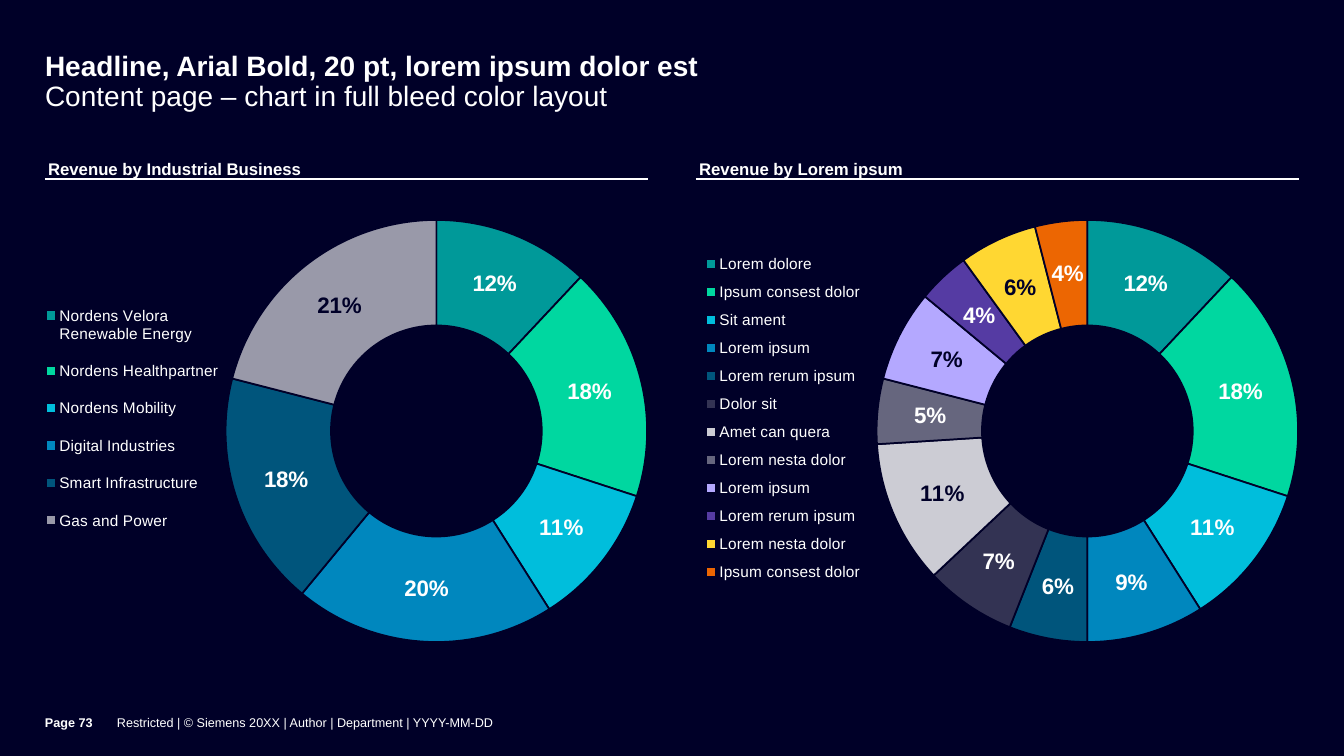
from dataclasses import dataclass

import lxml.etree
import pptx
import pptx.chart.data
import pptx.dml.color
import pptx.enum.chart
import pptx.enum.shapes
import pptx.enum.text
import pptx.oxml
import pptx.oxml.ns
import pptx.util


@dataclass(frozen=True)
class Theme:
    font: str = "Arial"
    dark: str = "000028"
    light: str = "FFFFFF"
    headline: int = 20
    label: int = 16
    heading: int = 12
    legend: int = 11
    base: int = 10
    footer: int = 9


THEME = Theme()
SCALE = 914400 / 100.8

BUSINESS = [
    ("Nordens Velora Renewable Energy", 0.12, "009999"),
    ("Nordens Healthpartner", 0.18, "00D7A0"),
    ("Nordens Mobility", 0.11, "00BEDC"),
    ("Digital Industries", 0.20, "0087BE"),
    ("Smart Infrastructure", 0.18, "00557C"),
    ("Gas and Power", 0.21, "9999A9"),
]
LOREM = [
    ("Lorem dolore", 0.12, "009999"),
    ("Ipsum consest dolor", 0.18, "00D7A0"),
    ("Sit ament", 0.11, "00BEDC"),
    ("Lorem ipsum", 0.09, "0087BE"),
    ("Lorem rerum ipsum", 0.06, "00557C"),
    ("Dolor sit", 0.07, "333353"),
    ("Amet can quera", 0.11, "CCCCD4"),
    ("Lorem nesta dolor", 0.05, "66667E"),
    ("Lorem ipsum", 0.07, "B4A8FF"),
    ("Lorem rerum ipsum", 0.04, "553BA3"),
    ("Lorem nesta dolor", 0.06, "FFD732"),
    ("Ipsum consest dolor", 0.04, "EC6602"),
]
DARK_LABEL_FILLS = {"9999A9", "CCCCD4", "B4A8FF", "FFD732"}


def px(n):
    return pptx.util.Emu(round(n * SCALE))


def rgb(color):
    return pptx.dml.color.RGBColor.from_string(color)


def style_font(font, size, color=THEME.light, bold=False):
    font.name = THEME.font
    font.size = pptx.util.Pt(size)
    font.bold = bold
    font.color.rgb = rgb(color)


def add_text(p, text, **style):
    r = p.add_run()
    r.text = text
    style_font(r.font, **style)


def set_frame(tf, anchor, right=0, bottom=0):
    tf.word_wrap = True
    tf.auto_size = pptx.enum.text.MSO_AUTO_SIZE.NONE
    tf.vertical_anchor = anchor
    tf.margin_left = tf.margin_top = 0
    tf.margin_right, tf.margin_bottom = px(right), px(bottom)


def set_layout(parent, x, y, w=None, h=None, inner=False):
    qn = pptx.oxml.ns.qn
    for old in parent.findall(qn("c:layout")):
        parent.remove(old)
    layout = pptx.oxml.parse_xml(f'<c:layout {pptx.oxml.ns.nsdecls("c")}><c:manualLayout/></c:layout>')
    fields = [("xMode", "edge"), ("yMode", "edge"), ("x", x), ("y", y), ("w", w), ("h", h)]
    if inner:
        fields.insert(0, ("layoutTarget", "inner"))
    for name, value in fields:
        if value is not None:
            lxml.etree.SubElement(layout[0], qn(f"c:{name}")).set("val", str(value))
    overlay = parent.find(qn("c:overlay"))
    if overlay is None:
        parent.insert(0, layout)
    else:
        overlay.addprevious(layout)


def add_title(s, x, y, w, h):
    sp = s.shapes.title
    sp.left, sp.top, sp.width, sp.height = map(px, (x, y, w, h))
    set_frame(sp.text_frame, pptx.enum.text.MSO_ANCHOR.TOP, right=35, bottom=2)
    p = sp.text_frame.paragraphs[0]
    p.alignment = pptx.enum.text.PP_ALIGN.LEFT
    p.line_spacing = 0.9
    add_text(p, "Headline, Arial Bold, 20 pt, lorem ipsum dolor est", size=THEME.headline, bold=True)
    p.add_line_break()
    add_text(p, "Content page – chart in full bleed color layout", size=THEME.headline)


def add_rule(s, x, y, w):
    line = s.shapes.add_connector(
        pptx.enum.shapes.MSO_CONNECTOR.STRAIGHT, px(x), px(y), px(x + w), px(y))
    line.line.color.rgb = rgb(THEME.light)
    line.line.width = pptx.util.Pt(1)
    lxml.etree.SubElement(line._element.spPr, pptx.oxml.ns.qn("a:effectLst"))


def add_doughnut(s, x, y, w, h, heading, rows, plot, legend_y, legend_h):
    data = pptx.chart.data.CategoryChartData(number_format="0%")
    data.categories = [name for name, _, _ in rows]
    data.add_series("Series 1", [value for _, value, _ in rows])
    chart = s.shapes.add_chart(
        pptx.enum.chart.XL_CHART_TYPE.DOUGHNUT, px(x), px(y), px(w), px(h), data).chart
    style_font(chart.font, THEME.base)

    chart.has_title = True
    add_text(chart.chart_title.text_frame.paragraphs[0], heading, size=THEME.heading, bold=True)
    set_layout(chart.chart_title._element, 0, 0)

    chart.has_legend = True
    chart.legend.position = pptx.enum.chart.XL_LEGEND_POSITION.LEFT
    chart.legend.include_in_layout = False
    style_font(chart.legend.font, THEME.legend)
    set_layout(chart.legend._element, 0, legend_y, 0.29, legend_h)

    chart_plot = chart.plots[0]
    chart_plot.vary_by_categories = True
    for hole in chart_plot._element.findall(pptx.oxml.ns.qn("c:holeSize")):
        hole.set("val", "70")
    set_layout(chart_plot._element.getparent(), *plot, inner=True)

    series = chart_plot.series[0]
    labels = series.data_labels
    labels.show_value = True
    labels.show_percentage = False
    labels.number_format = "0%"
    labels.number_format_is_linked = False
    style_font(labels.font, THEME.label, bold=True)
    for i, (_, _, color) in enumerate(rows):
        point = series.points[i]
        point.format.fill.solid()
        point.format.fill.fore_color.rgb = rgb(color)
        point.format.line.color.rgb = rgb(THEME.dark)
        point.format.line.width = pptx.util.Pt(1.25)
        if color in DARK_LABEL_FILLS:
            style_font(point.data_label.font, THEME.label, color=THEME.dark, bold=True)
    add_rule(s, x, y + 23, w)


def add_footer(s, x, y, w, h):
    page_w = 72
    parts = [
        (x + page_w, w - page_w, "Restricted | © Siemens 20XX | Author | Department | YYYY-MM-DD", False),
        (x, page_w, "Page 73", True),
    ]
    for left, width, text, bold in parts:
        tf = s.shapes.add_textbox(px(left), px(y), px(width), px(h)).text_frame
        set_frame(tf, pptx.enum.text.MSO_ANCHOR.MIDDLE, bottom=7)
        add_text(tf.paragraphs[0], text, size=THEME.footer, bold=bold)


def main():
    prs = pptx.Presentation()
    prs.slide_width, prs.slide_height = px(1344), px(756)
    s = prs.slides.add_slide(prs.slide_layouts[5])
    s.background.fill.solid()
    s.background.fill.fore_color.rgb = rgb(THEME.dark)
    add_title(s, 45, 52, 1088, 64)
    add_doughnut(s, 45, 156, 603, 524, "Revenue by Industrial Business", BUSINESS,
                 (0.3, 0.12, 0.7, 0.81), 0.25, 0.5)
    add_doughnut(s, 696, 156, 603, 524, "Revenue by Lorem ipsum", LOREM,
                 (0.3, 0.12, 0.7, 0.81), 0.17, 0.66)
    add_footer(s, 45, 696, 1088, 60)
    prs.save("out.pptx")


if __name__ == "__main__":
    main()
